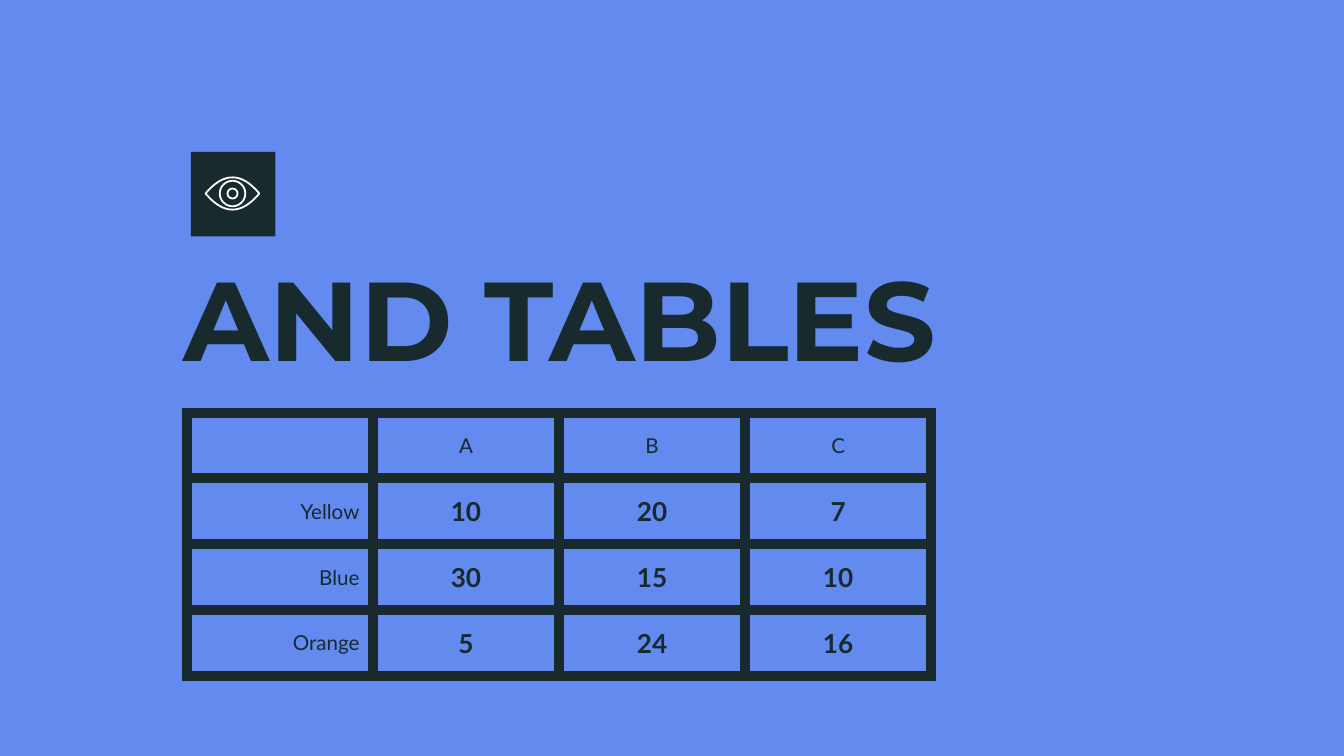
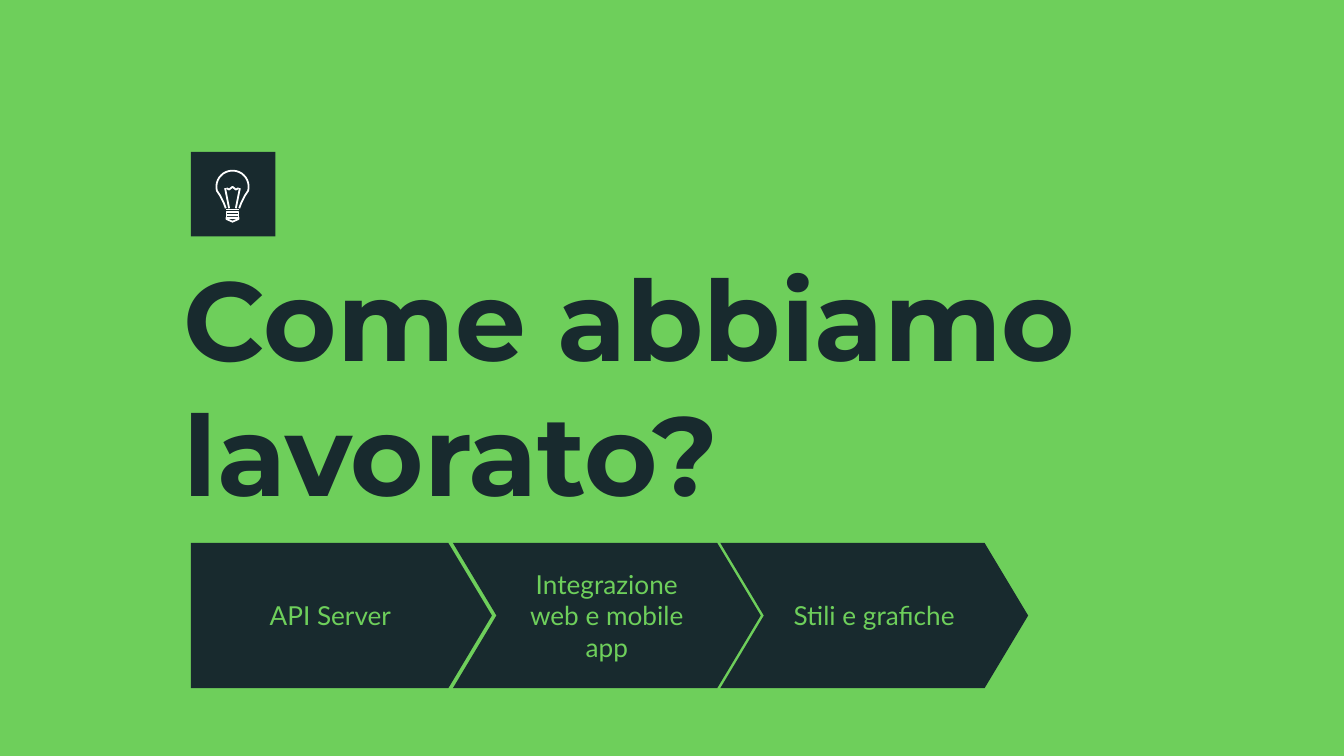
import math

from lxml import etree
from pptx import Presentation
from pptx.dml.color import RGBColor
from pptx.enum.shapes import MSO_SHAPE
from pptx.enum.text import MSO_ANCHOR, PP_ALIGN
from pptx.oxml.ns import qn
from pptx.util import Inches, Pt

RECTANGLE, OVAL = MSO_SHAPE.RECTANGLE, MSO_SHAPE.OVAL
PENTAGON, CHEVRON = MSO_SHAPE.PENTAGON, MSO_SHAPE.CHEVRON
TOP, MIDDLE = MSO_ANCHOR.TOP, MSO_ANCHOR.MIDDLE
LEFT, CENTER, RIGHT = PP_ALIGN.LEFT, PP_ALIGN.CENTER, PP_ALIGN.RIGHT

COLORS = {"dark": "182A2E", "blue": "628AEF", "green": "6ECF5B", "white": "FFFFFF"}
TITLE_FONT, BODY_FONT = "Montserrat", "Lato"
COLUMNS, ROWS = 100, 56.25  # square grid over the slide
MARGIN = 14.2
ICON_X, ICON_LINE = 17.3, 0.96
BORDER = 6

TABLE_ROWS = [
    ["", "A", "B", "C"],
    ["Yellow", "10", "20", "7"],
    ["Blue", "30", "15", "10"],
    ["Orange", "5", "24", "16"],
]
STEPS = ["API Server", "Integrazione web e mobile app", "Stili e grafiche"]


def grid(*units):
    """Turn grid units into slide lengths."""
    return [Inches(unit / 10) for unit in units]


def color(name):
    return RGBColor.from_string(COLORS[name])


def write(frame, text, *, size, ink="dark", font=BODY_FONT, bold=False,
          align=LEFT, anchor=TOP):
    frame.word_wrap = True
    frame.vertical_anchor = anchor
    paragraph = frame.paragraphs[0]
    paragraph.alignment = align
    run = paragraph.add_run()
    run.text = text
    run.font.name = font
    run.font.size = Pt(size)
    run.font.bold = bold
    run.font.color.rgb = color(ink)


def set_margins(target, horizontal, vertical):
    target.margin_left = target.margin_right = Inches(horizontal)
    target.margin_top = target.margin_bottom = Inches(vertical)


def add_block(slide, kind, box):
    """Add a dark preset shape without a line."""
    shape = slide.shapes.add_shape(kind, *grid(*box))
    shape.shadow.inherit = False
    shape.fill.solid()
    shape.fill.fore_color.rgb = color("dark")
    shape.line.fill.background()
    return shape


def add_title_slide(presentation, background, title):
    """Start a slide with its background, icon tile and title."""
    slide = presentation.slides.add_slide(presentation.slide_layouts[6])
    slide.background.fill.solid()
    slide.background.fill.fore_color.rgb = color(background)
    add_block(slide, RECTANGLE, (MARGIN, 11.3, 6.3, 6.3))
    frame = slide.shapes.add_textbox(*grid(12.7, 17.6, 74.5, 21.1)).text_frame
    set_margins(frame, 0.1, 0.1)
    write(frame, title, size=60, font=TITLE_FONT, bold=True)
    return slide


def outline(shape):
    shape.shadow.inherit = False
    shape.fill.background()
    shape.line.color.rgb = color("white")
    shape.line.width = Pt(ICON_LINE)


def add_stroke(group, points, close=False):
    """Draw a white line through points given as (offset from icon axis, row)."""
    start, *others = [grid(ICON_X + x, y) for x, y in points]
    builder = group.shapes.build_freeform(*start, scale=1.0)
    builder.add_line_segments(others, close=close)
    outline(builder.convert_to_shape())


def add_eye(slide):
    group = slide.shapes.add_group_shape()
    center, half_width, half_height, parts = 14.4, 2, 1.2, 16
    shares = [2 * i / parts - 1 for i in range(parts + 1)]
    upper = [(half_width * t, center - half_height * (1 - t * t)) for t in shares]
    lower = [(x, 2 * center - y) for x, y in reversed(upper[1:-1])]
    add_stroke(group, upper + lower, close=True)
    for diameter in (0.75, 1.9):
        radius = diameter / 2
        outline(group.shapes.add_shape(
            OVAL, *grid(ICON_X - radius, center - radius, diameter, diameter)))


def add_bulb(slide):
    group = slide.shapes.add_group_shape()
    half_base = 0.45
    for top in (15.8, 16):
        add_stroke(group, [(-half_base, top), (half_base, top),
                           (half_base, top + 0.2), (-half_base, top + 0.2)], close=True)
    add_stroke(group, [(-half_base, 16.2), (-half_base, 16.3), (0, 16.5),
                       (half_base, 16.3), (half_base, 16.2)], close=True)
    add_stroke(group, [(-half_base, 15.6), (half_base, 15.6)])

    radius, center = 1.2, 13.9
    angles = [math.radians(degree) for degree in range(195, -16, -10)]
    glass = [(radius * math.cos(a), center - radius * math.sin(a)) for a in angles]
    neck = [(0.9, 14.6), (0.65, 15.1), (0.5, 15.5)]
    left_neck = [(-x, y) for x, y in reversed(neck)]
    add_stroke(group, left_neck + glass + neck)
    for side in (-1, 1):
        add_stroke(group, [(side * 0.55, 14), (side * 0.25, 15.5)])
    add_stroke(group, [(-0.45, 14), (-0.25, 14.1), (0, 13.9), (0.25, 14.1), (0.45, 14)])


def add_borders(cell):
    properties = cell._tc.get_or_add_tcPr()
    for index, side in enumerate(("lnL", "lnR", "lnT", "lnB")):
        line = etree.Element(qn(f"a:{side}"), w=str(Pt(BORDER)))
        fill = etree.SubElement(line, qn("a:solidFill"))
        etree.SubElement(fill, qn("a:srgbClr"), val=COLORS["dark"])
        properties.insert(index, line)


def add_data_table(slide, rows, box):
    table = slide.shapes.add_table(len(rows), len(rows[0]), *grid(*box)).table
    table.first_row = table.horz_banding = False
    for row_index, row in enumerate(rows):
        for column_index, text in enumerate(row):
            cell = table.cell(row_index, column_index)
            cell.fill.background()
            add_borders(cell)
            set_margins(cell, 0.1, 0.07)
            cell.vertical_anchor = MIDDLE
            if not text:
                continue
            is_value = row_index > 0 and column_index > 0
            is_row_name = row_index > 0 and column_index == 0
            write(cell.text_frame, text, size=14 if is_value else 11, bold=is_value,
                  align=RIGHT if is_row_name else CENTER, anchor=MIDDLE)


def add_process(slide, steps, top, height):
    first_chevron, pitch = 33.7, 19.9
    for index, text in enumerate(steps):
        if index == 0:
            kind, left, width = PENTAGON, MARGIN, 22.4
        else:
            kind, left, width = CHEVRON, first_chevron + (index - 1) * pitch, 22.9
        shape = add_block(slide, kind, (left, top, width, height))
        shape.adjustments[0] = 0.3
        set_margins(shape.text_frame, 0.1, 0.1)
        write(shape.text_frame, text, size=14, ink="green", align=CENTER, anchor=MIDDLE)


def main():
    presentation = Presentation()
    presentation.slide_width, presentation.slide_height = grid(COLUMNS, ROWS)

    tables = add_title_slide(presentation, "blue", "AND TABLES")
    add_data_table(tables, TABLE_ROWS, (13.9, 30.7, 55.4, 19.6))
    add_eye(tables)

    process = add_title_slide(presentation, "green", "Come abbiamo lavorato?")
    add_process(process, STEPS, 40.4, 10.8)
    add_bulb(process)

    presentation.save("out.pptx")


if __name__ == "__main__":
    main()
